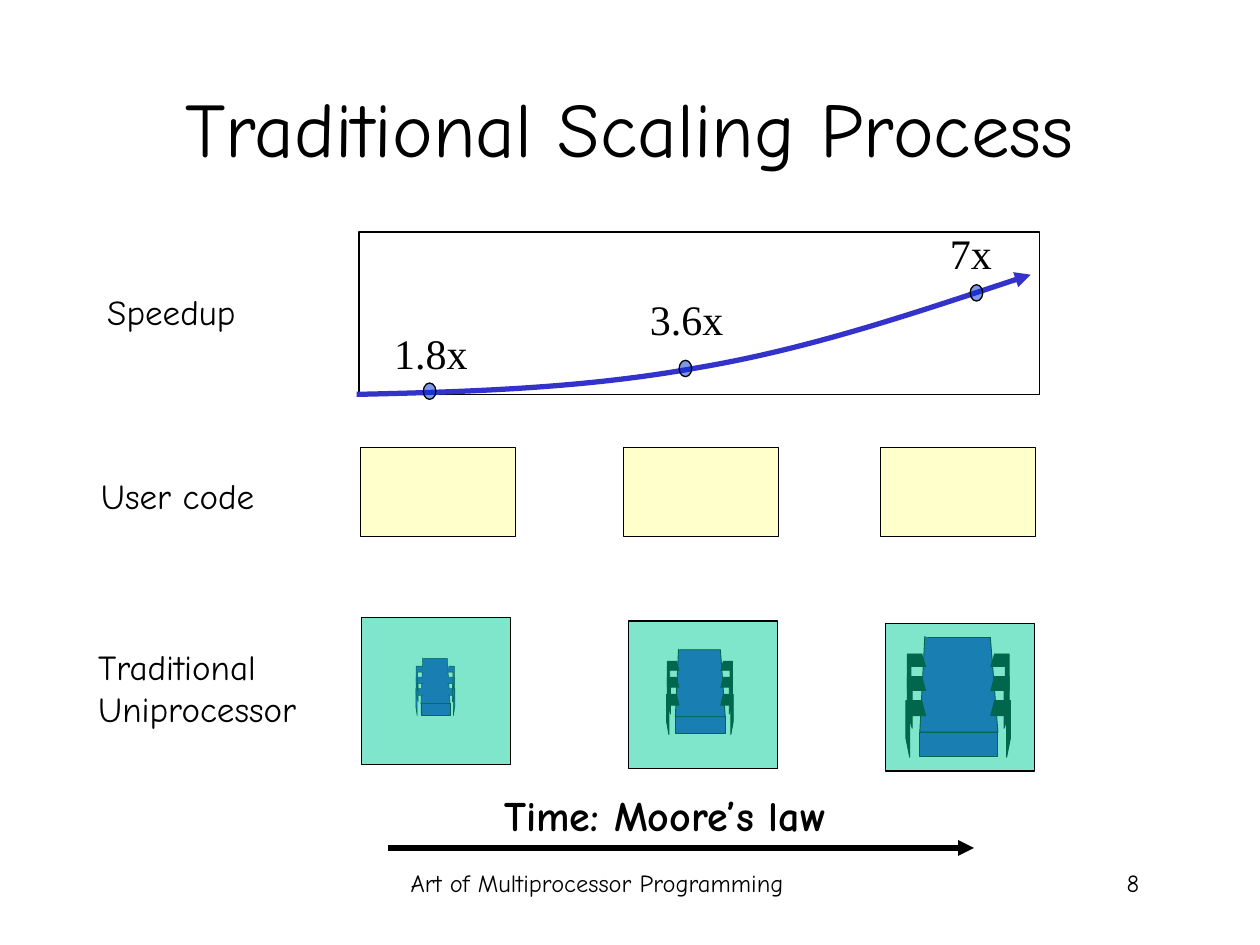
from lxml.etree import SubElement
from pptx import Presentation
from pptx.dml.color import RGBColor
from pptx.enum.shapes import MSO_CONNECTOR, MSO_SHAPE
from pptx.enum.text import MSO_ANCHOR, MSO_AUTO_SIZE, PP_ALIGN
from pptx.oxml.ns import qn
from pptx.util import Inches, Pt

COMIC = "Comic Neue"
TIMES = "Times New Roman"
BLACK = "000000"
BLUE = "3333CC"

# Processor drawing, in inches within its largest size
BUG_WIDTH, BUG_HEIGHT = 0.83, 0.96
BUG_BASE = (0.11, 0.76, 0.62, 0.19)
BUG_BODY = [(0.17, 0.01), (0.67, 0.01), (0.73, 0.76), (0.11, 0.76), (0.15, 0)]
BUG_LEGS = [
    [(0.70, 0.51), (0.83, 0.51), (0.83, 0.81), (0.80, 0.96), (0.80, 0.63), (0.67, 0.63)],
    [(0.70, 0.32), (0.82, 0.32), (0.82, 0.60), (0.78, 0.73), (0.78, 0.43), (0.67, 0.43)],
    [(0.70, 0.14), (0.82, 0.14), (0.82, 0.42), (0.79, 0.55), (0.79, 0.24), (0.67, 0.24)],
]


def color(value):
    return RGBColor.from_string(value)


def style_shape(shape, fill, line=BLACK, width=0.75, alpha=None):
    shape.shadow.inherit = False
    if fill is None:
        shape.fill.background()
    else:
        shape.fill.solid()
        shape.fill.fore_color.rgb = color(fill)
        if alpha is not None:
            fill_color = shape._element.spPr.find(qn("a:solidFill"))[0]
            SubElement(fill_color, qn("a:alpha"), val=str(alpha * 1000))
    shape.line.color.rgb = color(line)
    shape.line.width = Pt(width)


def add_preset(shapes, kind, box, fill, width=0.75, alpha=None):
    shape = shapes.add_shape(kind, *map(Inches, box))
    style_shape(shape, fill, width=width, alpha=alpha)
    return shape


def add_outline(shapes, points):
    corners = [(Inches(x), Inches(y)) for x, y in points]
    builder = shapes.build_freeform(*corners[0])
    builder.add_line_segments(corners[1:], close=False)
    return builder.convert_to_shape()


def add_arrowhead(shape):
    line = shape._element.spPr.find(qn("a:ln"))
    SubElement(line, qn("a:tailEnd"), type="triangle")


def add_curve(shapes, points):
    """Draw a Bezier arrow: a start, then two controls and an end per piece."""
    shape = add_outline(shapes, points)
    path = next(shape._element.iter(qn("a:path")))
    segments = path.findall(qn("a:lnTo"))
    for first in range(0, len(segments), 3):
        curve = SubElement(path, qn("a:cubicBezTo"))
        for segment in segments[first:first + 3]:
            curve.append(segment[0])
            path.remove(segment)
    style_shape(shape, None, BLUE, 3)
    add_arrowhead(shape)


def add_arrow(shapes, start, end):
    arrow = shapes.add_connector(MSO_CONNECTOR.STRAIGHT, *map(Inches, start + end))
    arrow.line.color.rgb = color(BLACK)
    arrow.line.width = Pt(3)
    add_arrowhead(arrow)
    SubElement(arrow._element.spPr, qn("a:effectLst"))


def format_text(frame, text, size, font=COMIC, align=PP_ALIGN.CENTER, bold=False):
    for index, line in enumerate(text.split("\n")):
        paragraph = frame.paragraphs[0] if index == 0 else frame.add_paragraph()
        paragraph.text = line
        paragraph.alignment = align
        paragraph.font.name = font
        paragraph.font.size = Pt(size)
        paragraph.font.bold = bold
        paragraph.font.color.rgb = color(BLACK)


def add_label(shapes, box, text, size, wrap=False, **formatting):
    frame = shapes.add_textbox(*map(Inches, box)).text_frame
    frame.word_wrap = wrap
    format_text(frame, text, size, **formatting)


def add_title(slide, text):
    title = slide.shapes.title
    title.left, title.top = Inches(0.75), Inches(0.38)
    title.width, title.height = Inches(8.5), Inches(1.25)
    title.text_frame.vertical_anchor = MSO_ANCHOR.MIDDLE
    title.text_frame.auto_size = MSO_AUTO_SIZE.NONE
    format_text(title.text_frame, text, 44)


def add_bug(shapes, left, top, width, height, leg_color, line_width):
    group = shapes.add_group_shape().shapes
    scale_x, scale_y = width / BUG_WIDTH, height / BUG_HEIGHT

    def add_part(points, fill):
        placed = [(left + x * scale_x, top + y * scale_y) for x, y in points]
        style_shape(add_outline(group, placed), fill, width=line_width)

    x, y, base_width, base_height = BUG_BASE
    base = (left + x * scale_x, top + y * scale_y,
            base_width * scale_x, base_height * scale_y)
    add_preset(group, MSO_SHAPE.RECTANGLE, base, BLUE, line_width)
    add_part(BUG_BODY, BLUE)
    for leg in BUG_LEGS:
        add_part(leg, leg_color)
        add_part([(BUG_WIDTH - x, y) for x, y in leg], leg_color)


def main():
    presentation = Presentation()
    presentation.slide_width, presentation.slide_height = Inches(10), Inches(7.5)
    slide = presentation.slides.add_slide(presentation.slide_layouts[5])
    shapes = slide.shapes

    # Title and footer
    add_title(slide, "Traditional Scaling Process")
    add_label(shapes, (2.6, 6.84, 4.28, 0.5), "Art of Multiprocessor Programming", 14, wrap=True)
    add_label(shapes, (7.06, 6.84, 2.08, 0.5), "8", 14, wrap=True, align=PP_ALIGN.RIGHT)

    # Row labels
    add_label(shapes, (0.75, 2.26, 1.22, 0.44), "Speedup", 20)
    add_label(shapes, (0.7, 3.72, 1.42, 0.44), "User code", 20)
    add_label(shapes, (0.68, 5.07, 2.01, 0.77), "Traditional\nUniprocessor", 20,
              wrap=True, align=PP_ALIGN.LEFT)

    # User code boxes
    for left in (2.86, 4.95, 6.99):
        add_preset(shapes, MSO_SHAPE.RECTANGLE, (left, 3.55, 1.23, 0.71), "FFFFCC")

    # Speedup curve with its marked points
    add_preset(shapes, MSO_SHAPE.RECTANGLE, (2.85, 1.84, 5.4, 1.29), "FFFFFF", alpha=50)
    add_curve(shapes, [(2.83, 3.13), (3.74, 3.11), (4.64, 3.08), (5.53, 2.92),
                       (6.42, 2.77), (7.3, 2.47), (8.18, 2.18)])
    speedups = [
        ("1.8x", (3.36, 3.04), (3.03, 2.55, 0.78, 0.5)),
        ("3.6x", (5.39, 2.86), (5.06, 2.28, 0.78, 0.5)),
        ("7x", (7.7, 2.26), (7.44, 1.76, 0.53, 0.5)),
    ]
    for text, marker, label_box in speedups:
        add_preset(shapes, MSO_SHAPE.OVAL, marker + (0.1, 0.13), "0033CC", alpha=50)
        add_label(shapes, label_box, text, 24, font=TIMES)

    # Time axis
    add_arrow(shapes, (3.08, 6.73), (7.73, 6.73))
    add_label(shapes, (3.9, 6.22, 2.76, 0.5), "Time: Moore’s law", 24, bold=True)

    # Growing processors, each under a translucent chip
    processors = [
        ((3.3, 5.22, 0.31, 0.46), BLUE, 0.25, (2.87, 4.9)),
        ((5.29, 5.15, 0.53, 0.68), BLACK, 0.5, (4.99, 4.93)),
        ((7.19, 5.05, 0.83, 0.96), BLACK, 0.5, (7.03, 4.95)),
    ]
    for bug_box, leg_color, line_width, chip in processors:
        add_bug(shapes, *bug_box, leg_color, line_width)
        add_preset(shapes, MSO_SHAPE.RECTANGLE, chip + (1.18, 1.17), "00CC99", alpha=50)

    presentation.save("out.pptx")


if __name__ == "__main__":
    main()
